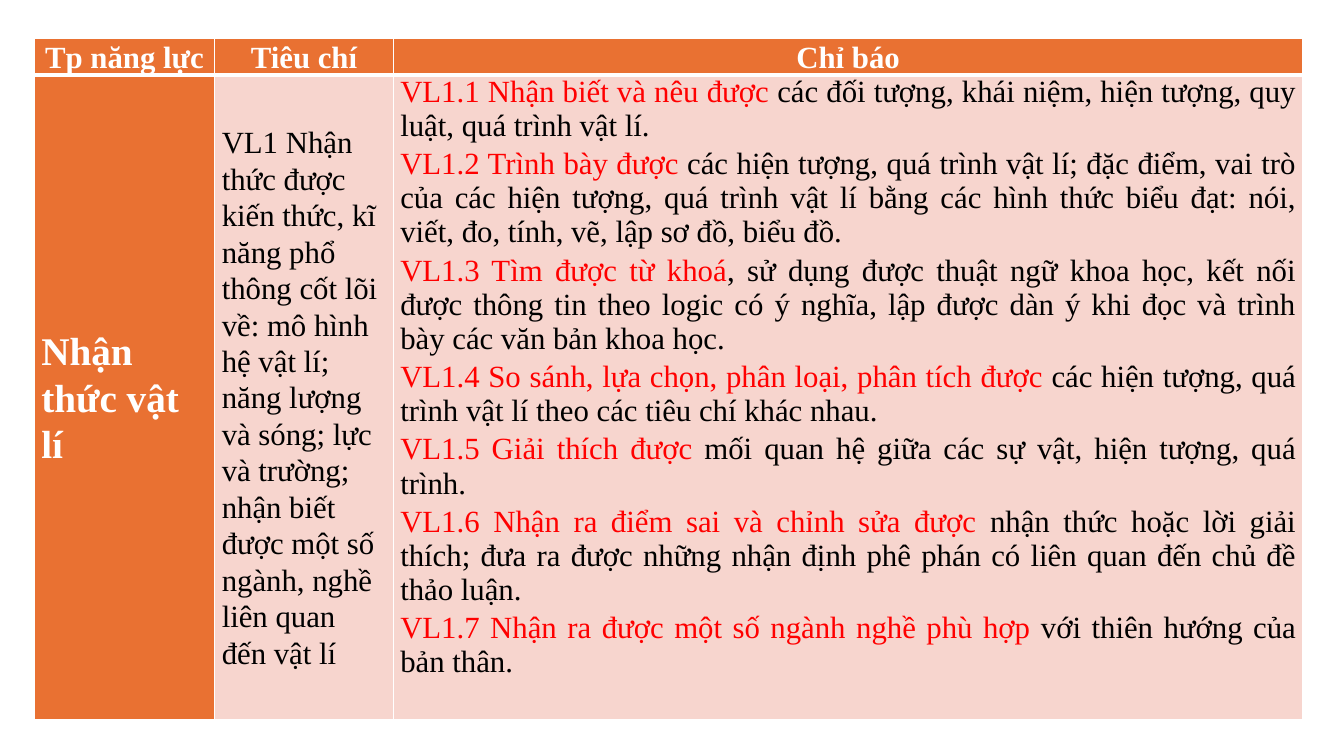
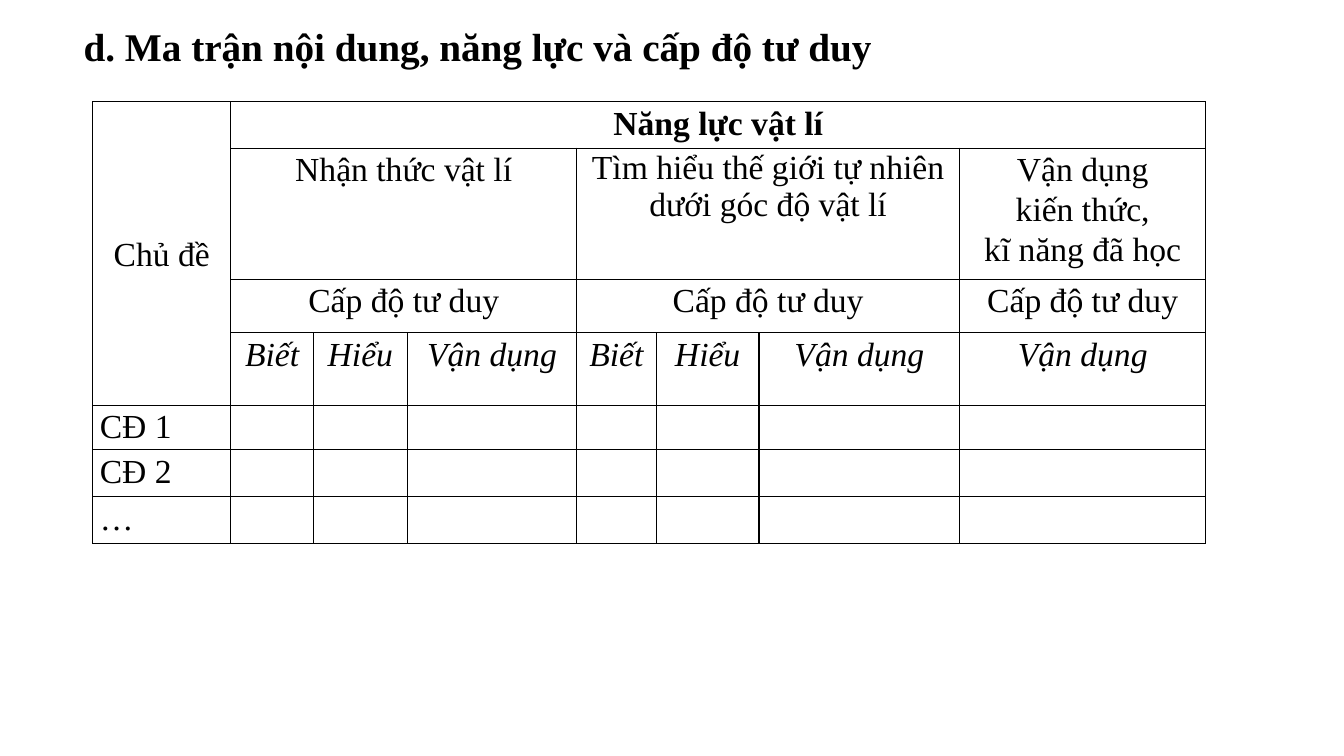
from lxml.etree import Element, SubElement
from pptx import Presentation
from pptx.dml.color import RGBColor
from pptx.enum.text import MSO_ANCHOR, PP_ALIGN
from pptx.oxml.ns import qn
from pptx.util import Inches, Pt

COLORS = {
    "white": "FFFFFF",
    "black": "000000",
    "red": "FF0000",
    "orange": "E97132",
    "pink": "F7D5CE",
}
FONT = "Times New Roman"
LEFT, CENTER, JUSTIFY = PP_ALIGN.LEFT, PP_ALIGN.CENTER, PP_ALIGN.JUSTIFY

CRITERION = (
    "VL1 Nhận thức được kiến thức, kĩ năng phổ thông cốt lõi về: mô hình hệ vật lí; "
    "năng lượng và sóng; lực và trường; nhận biết được một số ngành, nghề liên quan "
    "đến vật lí"
)
INDICATORS = [
    ("VL1.1 Nhận biết và nêu được ",
     "các đối tượng, khái niệm, hiện tượng, quy luật, quá trình vật lí."),
    ("VL1.2 Trình bày được ",
     "các hiện tượng, quá trình vật lí; đặc điểm, vai trò của các hiện tượng, quá trình "
     "vật lí bằng các hình thức biểu đạt: nói, viết, đo, tính, vẽ, lập sơ đồ, biểu đồ."),
    ("VL1.3 Tìm được từ khoá",
     ", sử dụng được thuật ngữ khoa học, kết nối được thông tin theo logic có ý nghĩa, "
     "lập được dàn ý khi đọc và trình bày các văn bản khoa học."),
    ("VL1.4 So sánh, lựa chọn, phân loại, phân tích được ",
     "các hiện tượng, quá trình vật lí theo các tiêu chí khác nhau."),
    ("VL1.5 Giải thích được ",
     "mối quan hệ giữa các sự vật, hiện tượng, quá trình."),
    ("VL1.6 Nhận ra điểm sai và chỉnh sửa được ",
     "nhận thức hoặc lời giải thích; đưa ra được những nhận định phê phán có liên quan "
     "đến chủ đề thảo luận."),
    ("VL1.7 Nhận ra được một số ngành nghề phù hợp ",
     "với thiên hướng của bản thân."),
]


class Deck:
    """Holds the style and the current slide; boxes are percentages of the slide."""

    def __init__(self):
        self.presentation = Presentation()
        self.presentation.slide_width = Inches(13.33)
        self.presentation.slide_height = Inches(7.5)
        self.slide = None

    def new_slide(self):
        self.slide = self.presentation.slides.add_slide(self.presentation.slide_layouts[6])

    def box(self, left, top, width, height):
        across = self.presentation.slide_width / 100
        down = self.presentation.slide_height / 100
        return int(left * across), int(top * down), int(width * across), int(height * down)

    def run(self, paragraph, text, size, color="black", bold=False, italic=False):
        """Add text as runs, with a line break at each newline."""
        for index, line in enumerate(text.split("\n")):
            if index:
                paragraph.add_line_break()
            run = paragraph.add_run()
            run.text = line
            font = run.font
            font.name, font.size = FONT, Pt(size)
            font.bold, font.italic = bold, italic
            font.color.rgb = RGBColor.from_string(COLORS[color])

    def title(self, text, box):
        frame = self.slide.shapes.add_textbox(*self.box(*box)).text_frame
        frame.word_wrap = False
        self.run(frame.paragraphs[0], text, 28, bold=True)

    def table(self, box, columns, rows, border, top_inset=0):
        """Add a plain table; columns and rows are relative weights."""
        left, top, width, height = self.box(*box)
        table = self.slide.shapes.add_table(
            len(rows), len(columns), left, top, width, height).table
        table.first_row = table.horz_banding = False
        for column, weight in zip(table.columns, columns):
            column.width = int(width * weight / sum(columns))
        for row, weight in zip(table.rows, rows):
            row.height = int(height * weight / sum(rows))
        for cell in table.iter_cells():
            cell.margin_left = cell.margin_right = Inches(0.07)
            cell.margin_top, cell.margin_bottom = Inches(top_inset), 0
            cell.fill.background()
            self.borders(cell, border)
        return table

    def borders(self, cell, color, **widths):
        """Draw all four borders, 1 point wide unless a side (L, R, T, B) says otherwise."""
        properties = cell._tc.get_or_add_tcPr()
        for index, side in enumerate("LRTB"):
            for old in properties.findall(qn(f"a:ln{side}")):
                properties.remove(old)
            line = Element(qn(f"a:ln{side}"), w=str(Pt(widths.get(side, 1))))
            fill = SubElement(line, qn("a:solidFill"))
            SubElement(fill, qn("a:srgbClr"), val=COLORS[color])
            properties.insert(index, line)

    def fill(self, cell, color):
        cell.fill.solid()
        cell.fill.fore_color.rgb = RGBColor.from_string(COLORS[color])

    def cell_text(self, cell, text, size, align=CENTER, middle=False, spacing=1.07,
                  after=8, **style):
        if middle:
            cell.vertical_anchor = MSO_ANCHOR.MIDDLE
        paragraph = cell.text_frame.paragraphs[0]
        paragraph.alignment = align
        paragraph.line_spacing = spacing
        paragraph.space_after = Pt(after)
        self.run(paragraph, text, size, **style)

    def indicators(self, cell, items):
        """Write justified paragraphs, each with a red lead and a black rest."""
        frame = cell.text_frame
        for index, (lead, rest) in enumerate(items):
            paragraph = frame.add_paragraph() if index else frame.paragraphs[0]
            paragraph.alignment = JUSTIFY
            if index:
                paragraph.space_before = Pt(3)
            self.run(paragraph, lead, 22, "red")
            self.run(paragraph, rest, 22)


def add_competence_slide(deck):
    deck.new_slide()
    table = deck.table((2.55, 5.07, 94.4, 90), (1.79, 1.77, 9.02), (0.35, 6.4), "white")
    for column, heading in enumerate(("Tp năng lực", "Tiêu chí", "Chỉ báo")):
        header, body = table.cell(0, column), table.cell(1, column)
        deck.fill(header, "orange")
        deck.fill(body, "pink" if column else "orange")
        deck.borders(header, "white", B=3)
        deck.borders(body, "white", T=3)
        deck.cell_text(header, heading, 22, color="white", bold=True)
    deck.cell_text(table.cell(1, 0), "Nhận thức vật lí", 28, LEFT, middle=True,
                   color="white", bold=True)
    deck.cell_text(table.cell(1, 1), CRITERION, 22, LEFT, middle=True)
    deck.indicators(table.cell(1, 2), INDICATORS)


def add_matrix_slide(deck):
    deck.new_slide()
    deck.title("d. Ma trận nội dung, năng lực và cấp độ tư duy", (5.48, 2.27, 60.84, 7.6))
    table = deck.table(
        (6.9, 13.47, 82.82, 58.4),
        (1.37, 0.82, 0.93, 1.68, 0.79, 1.02, 1.99, 2.44),
        (0.46, 1.3, 0.53, 0.72, 0.44, 0.47, 0.46), "black", top_inset=0.01)

    table.cell(0, 0).merge(table.cell(3, 0))
    table.cell(0, 1).merge(table.cell(0, 7))
    deck.cell_text(table.cell(0, 0), "Chủ đề", 24, middle=True)
    deck.cell_text(table.cell(0, 1), "Năng lực vật lí", 24, bold=True)

    levels = ("Biết", "Hiểu", "Vận dụng")
    groups = [
        (1, "Nhận thức vật lí", levels, {}),
        (4, "Tìm hiểu thế giới tự nhiên\ndưới góc độ vật lí", levels,
         {"spacing": 1.0, "after": 6}),
        (7, "Vận dụng\nkiến thức,\nkĩ năng đã học", levels[2:], {}),
    ]
    for first, name, group_levels, layout in groups:
        last = first + len(group_levels) - 1
        if last > first:
            for row in (1, 2):
                table.cell(row, first).merge(table.cell(row, last))
        deck.cell_text(table.cell(1, first), name, 24, **layout)
        deck.cell_text(table.cell(2, first), "Cấp độ tư duy", 24)
        for column, level in enumerate(group_levels, first):
            deck.cell_text(table.cell(3, column), level, 24, italic=True)

    for row, topic in enumerate(("CĐ 1", "CĐ 2", "…"), 4):
        deck.cell_text(table.cell(row, 0), topic, 24, JUSTIFY)


def main():
    deck = Deck()
    add_competence_slide(deck)
    add_matrix_slide(deck)
    deck.presentation.save("out.pptx")


if __name__ == "__main__":
    main()
